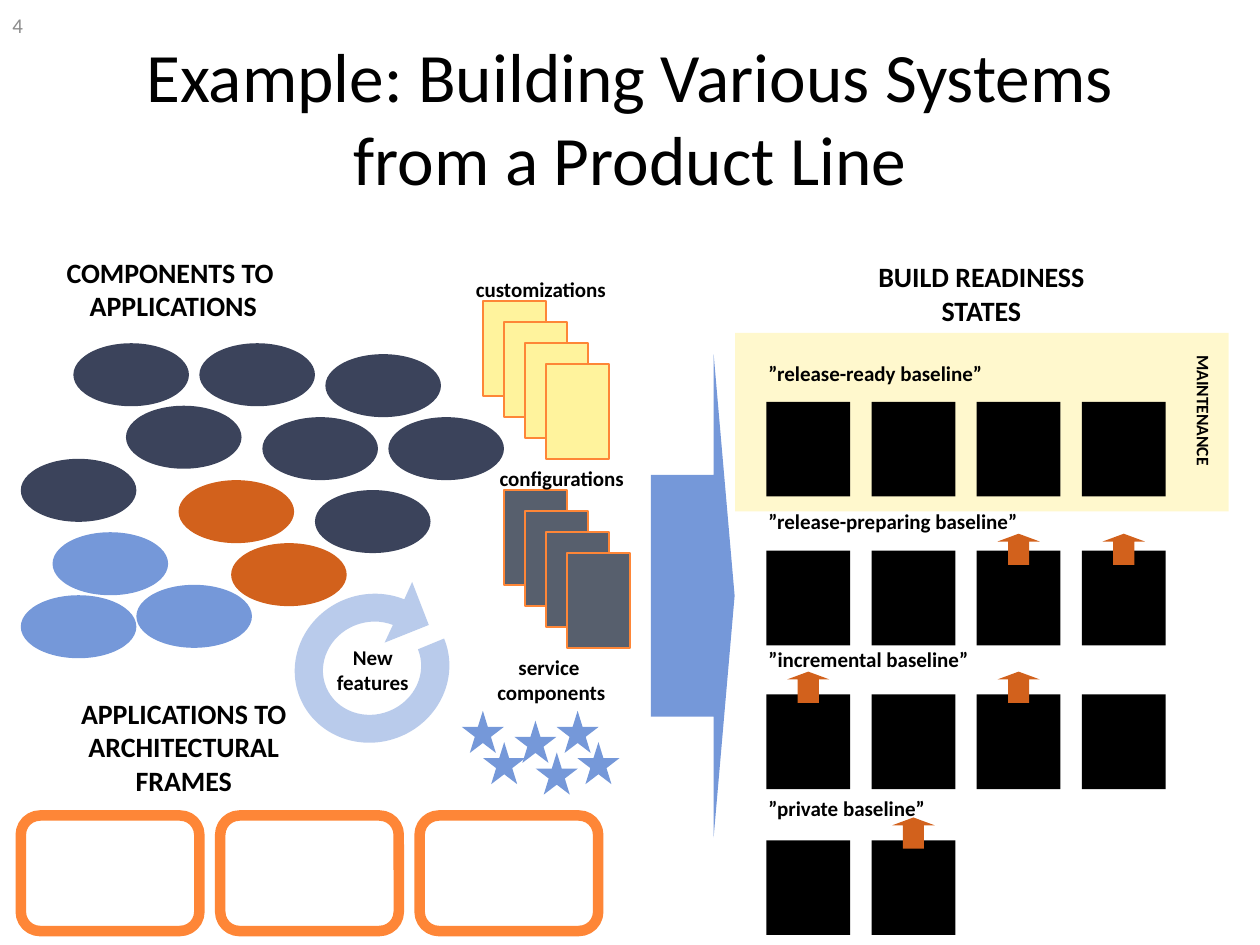
from dataclasses import dataclass
from itertools import chain, pairwise
from math import cos, radians, sin, tan

from lxml import etree
from pptx import Presentation
from pptx.dml.color import RGBColor
from pptx.enum.shapes import MSO_SHAPE
from pptx.enum.text import MSO_ANCHOR, MSO_AUTO_SIZE, PP_ALIGN
from pptx.oxml.ns import qn
from pptx.util import Cm, Pt

RECT, ELLIPSE, ROUNDED = MSO_SHAPE.RECTANGLE, MSO_SHAPE.OVAL, MSO_SHAPE.ROUNDED_RECTANGLE
STAR, RIGHT_ARROW, UP_ARROW = MSO_SHAPE.STAR_5_POINT, MSO_SHAPE.RIGHT_ARROW, MSO_SHAPE.UP_ARROW
LEFT, CENTER = PP_ALIGN.LEFT, PP_ALIGN.CENTER
TOP, MIDDLE = MSO_ANCHOR.TOP, MSO_ANCHOR.MIDDLE
NO_FIT, GROW = MSO_AUTO_SIZE.NONE, MSO_AUTO_SIZE.SHAPE_TO_FIT_TEXT


@dataclass(frozen=True)
class Theme:
    font: str = "Calibri"
    ink: str = "000000"
    muted: str = "8C8C8C"
    navy: str = "3B435B"
    blue: str = "7598D9"
    rust: str = "D2611C"
    orange: str = "FE8637"
    yellow: str = "FFF39D"
    slate: str = "575F6D"
    title_size: float = 39.6
    heading_size: float = 16
    label_size: float = 12
    side_size: float = 10


THEME = Theme()


def write_text(frame, text, size, color=THEME.ink, bold=False, align=LEFT,
               anchor=TOP, fit=NO_FIT):
    """Fill a text frame with one formatted paragraph; \\n is a line break."""
    frame.word_wrap = True
    frame.auto_size = fit
    frame.vertical_anchor = anchor
    paragraph = frame.paragraphs[0]
    paragraph.text = text.replace("\n", "\v")
    paragraph.alignment = align
    font = paragraph.font
    font.name, font.size, font.bold = THEME.font, Pt(size), bold
    font.color.rgb = RGBColor.from_string(color)


def arc_points(cx, cy, rx, ry, angles):
    """Start point, then two control points and an end point per Bézier arc."""
    def at(angle, pull=0):
        c, s = cos(radians(angle)), sin(radians(angle))
        return cx + rx * (c - pull * s), cy + ry * (s + pull * c)

    points = [at(angles[0])]
    for start, end in pairwise(angles):
        pull = 4 / 3 * tan(radians(end - start) / 4)
        points += [at(start, pull), at(end, -pull), at(end)]
    return points


class SlideBuilder:
    """Holds the theme and the current slide; all lengths are in cm."""

    def __init__(self, slide, theme):
        self.slide, self.theme = slide, theme

    def style(self, shape, fill=None, line=None, width=1, alpha=None):
        shape.shadow.inherit = False
        if fill:
            shape.fill.solid()
            shape.fill.fore_color.rgb = RGBColor.from_string(fill)
        else:
            shape.fill.background()
        if alpha:
            color = shape.fill._xPr.find(qn("a:solidFill"))[0]
            etree.SubElement(color, qn("a:alpha")).set("val", str(alpha * 1000))
        if line:
            shape.line.color.rgb = RGBColor.from_string(line)
            shape.line.width = Pt(width)
        else:
            shape.line.fill.background()

    def shape(self, kind, x, y, w, h, adjust=(), **style):
        shape = self.slide.shapes.add_shape(kind, Cm(x), Cm(y), Cm(w), Cm(h))
        for index, value in enumerate(adjust):
            shape.adjustments[index] = value
        self.style(shape, **style)

    def title(self, text, x, y, w, h):
        title = self.slide.shapes.title
        title.left, title.top, title.width, title.height = Cm(x), Cm(y), Cm(w), Cm(h)
        write_text(title.text_frame, text, self.theme.title_size, align=CENTER, anchor=MIDDLE)

    def text(self, text, x, y, w, h, rotation=0, **form):
        box = self.slide.shapes.add_textbox(Cm(x), Cm(y), Cm(w), Cm(h))
        box.rotation = rotation
        write_text(box.text_frame, text, **form)

    def heading(self, text, x, y, h):
        self.text(text, x, y, 6.15, h, size=self.theme.heading_size,
                  bold=True, align=CENTER, fit=GROW)

    def label(self, text, x, y, w=6.15, h=0.79, align=CENTER):
        self.text(text, x, y, w, h, size=self.theme.label_size,
                  bold=True, align=align, fit=GROW)

    def card_stack(self, x, y, fill):
        step = 1.27 / 3
        for i in range(4):
            self.shape(RECT, x + step * i, y + step * i, 1.27, 1.91,
                       fill=fill, line=self.theme.orange)

    def cycle_arrow(self, cx, cy, outer, inner, head, rotation, **style):
        """Open ring whose end carries an arrowhead."""
        angles = [180, 270, 360, 450, 496]
        outside = arc_points(cx, cy, *outer, angles)
        inside = arc_points(cx, cy, *inner, angles[::-1])
        tip = [(cx + x, cy + y) for x, y in head]
        points = [(Cm(x), Cm(y)) for x, y in outside + tip + inside]
        builder = self.slide.shapes.build_freeform(*points[0])
        builder.add_line_segments(points[1:], close=True)
        ring = builder.convert_to_shape()

        # Join each run of three arc segments into one curve
        segments = list(ring._element.iter(qn("a:lnTo")))
        arc_length = len(outside) - 1
        inner_start = len(segments) - arc_length
        for i in chain(range(0, arc_length, 3), range(inner_start, len(segments), 3)):
            curve, *rest = segments[i:i + 3]
            curve.tag = qn("a:cubicBezTo")
            for segment in rest:
                curve.append(segment[0])
                segment.getparent().remove(segment)
        ring.rotation = rotation
        self.style(ring, **style)

    def baseline_row(self, name, label_y, block_y, count, arrow_y=None, raised=(), label_w=6.15):
        """Labelled row of builds; the raised ones carry an up arrow."""
        left, pitch = 15.45, 2.12
        self.label(name, 15.24, label_y, w=label_w, align=LEFT)
        for i in range(count):
            self.shape(RECT, left + pitch * i, block_y, 1.69, 1.91, fill=self.theme.ink)
        for i in raised:
            self.shape(UP_ARROW, left + 0.42 + pitch * i, arrow_y, 0.85, 0.63,
                       adjust=(0.5, 0.25), fill=self.theme.rust)


def main():
    deck = Presentation()
    deck.slide_width, deck.slide_height = Cm(25.4), Cm(19.05)
    page = SlideBuilder(deck.slides.add_slide(deck.slide_layouts[5]), THEME)

    # Maintenance band and title
    page.shape(RECT, 14.82, 6.71, 9.95, 3.6, fill=THEME.yellow, alpha=50)
    page.title("Example: Building Various Systems from a Product Line", 1.27, 0.76, 22.86, 3.18)

    # Components
    components = {
        THEME.navy: [(2.54, 8.18), (5.29, 8.41), (4.02, 6.92), (6.56, 7.14),
                     (7.83, 8.41), (6.35, 9.88), (1.48, 6.92), (0.42, 9.25)],
        THEME.rust: [(3.6, 9.68), (4.66, 10.95)],
        THEME.blue: [(1.06, 10.73), (0.42, 12), (2.75, 11.79)],
    }
    for color, places in components.items():
        for x, y in places:
            page.shape(ELLIPSE, x, y, 2.33, 1.27, fill=color)
    page.heading("COMPONENTS TO \nAPPLICATIONS", 0.42, 5.02, 1.63)

    # Architectural frames
    page.heading("APPLICATIONS TO\nARCHITECTURAL FRAMES", 0.63, 13.91, 2.29)
    for i in range(3):
        page.shape(ROUNDED, 0.42 + 4.02 * i, 16.44, 3.6, 2.33, adjust=(0.167,),
                   line=THEME.orange, width=6)

    # Customizations and configurations
    page.card_stack(9.74, 6.07, THEME.yellow)
    page.label("customizations", 7.83, 5.46)
    page.card_stack(10.16, 9.88, THEME.slate)
    page.label("configurations", 8.25, 9.27)

    # New features cycle
    page.cycle_arrow(7.5, 13.47, outer=(1.57, 1.49), inner=(1, 0.93),
                     head=[(-1.41, 1.3), (-1.39, 0.37), (-0.43, 0.38)],
                     rotation=157.6, fill=THEME.blue, alpha=50)
    page.label("New\nfeatures", 4.44, 12.86, h=1.3)

    # Build readiness states
    page.shape(RIGHT_ARROW, 13.12, 7.14, 1.69, 9.74, adjust=(0.5, 0.25), fill=THEME.blue)
    page.heading("BUILD READINESS\nSTATES", 16.71, 5.11, 1.63)
    page.baseline_row("”release-ready baseline”", 7.15, 8.1, 4)
    page.baseline_row("”release-preparing baseline”", 10.13, 11.1, 4, 10.76, (2, 3), label_w=10.16)
    page.baseline_row("”incremental baseline”", 12.9, 14, 4, 13.54, (0, 2))

    # Service components
    page.label("service \ncomponents", 8.04, 13.07, h=1.3)
    for x, y in [(9.74, 14.96), (10.37, 14.53), (10.8, 15.17),
                 (11.22, 14.33), (11.64, 14.96), (9.31, 14.33)]:
        page.shape(STAR, x, y, 0.85, 0.85, fill=THEME.blue)

    # Private builds and maintenance note
    page.baseline_row("”private baseline”", 15.92, 16.94, 2, 16.48, (1,))
    page.text("MAINTENANCE", 22.67, 8.16, 3.18, 0.69, rotation=90,
              size=THEME.side_size, bold=True, fit=GROW)

    # Slide number
    page.text("4", 0, 0, 5.92, 1.02, size=THEME.label_size, color=THEME.muted, anchor=MIDDLE)

    deck.save("out.pptx")


if __name__ == "__main__":
    main()
